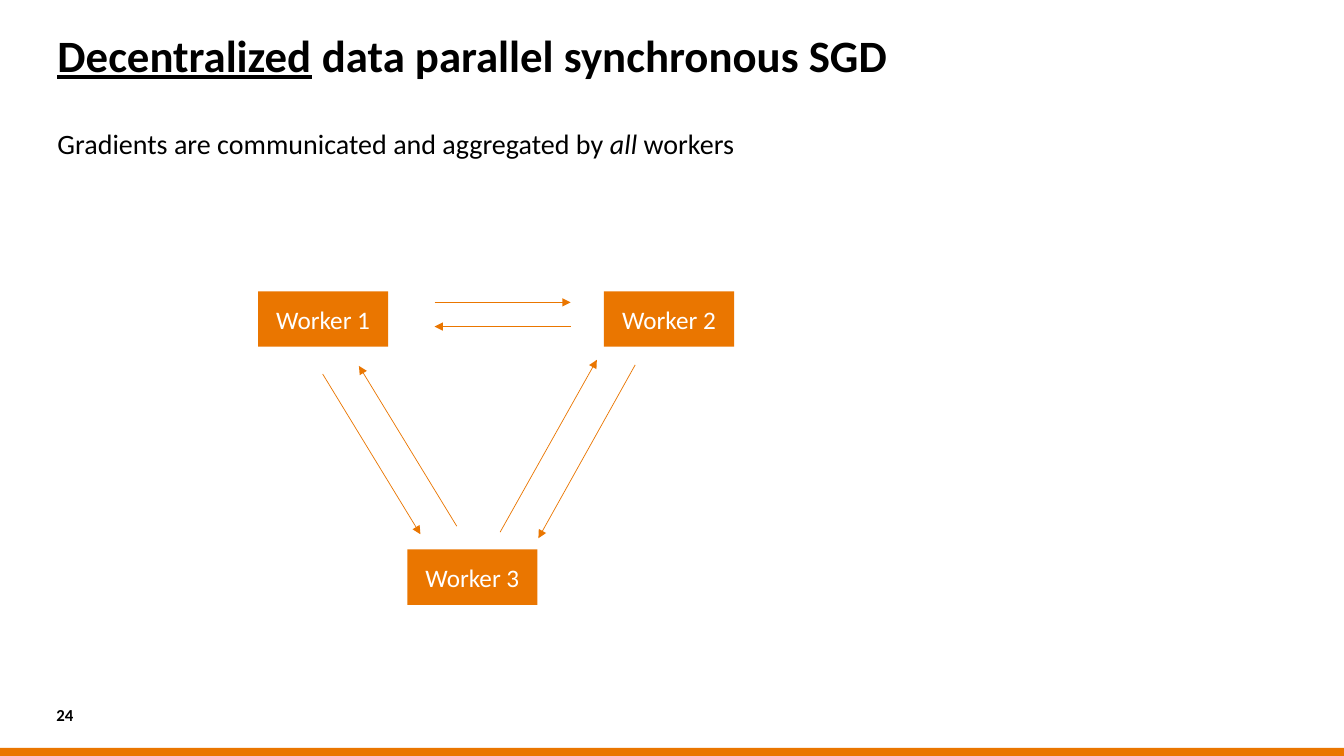
from dataclasses import dataclass

from lxml.etree import SubElement
from pptx import Presentation
from pptx.dml.color import RGBColor
from pptx.enum.shapes import MSO_CONNECTOR as Connector
from pptx.enum.shapes import MSO_SHAPE as Shape
from pptx.enum.text import MSO_ANCHOR as Anchor
from pptx.enum.text import PP_ALIGN as Align
from pptx.oxml.ns import qn
from pptx.slide import Slide
from pptx.text.text import TextFrame
from pptx.util import Emu, Pt

EMU_PER_PX = 9144  # 100 px to the inch


@dataclass(frozen=True)
class Theme:
    font: str = "Calibri"
    accent: RGBColor = RGBColor(0xEA, 0x76, 0x00)
    text: RGBColor = RGBColor(0, 0, 0)
    inverse: RGBColor = RGBColor(0xFF, 0xFF, 0xFF)
    title_size: int = 32
    body_size: int = 20
    worker_size: int = 18
    number_size: int = 12
    arrow_width: float = 0.5


@dataclass(frozen=True)
class Box:
    left: int
    top: int
    width: int
    height: int


@dataclass(frozen=True)
class Run:
    text: str
    italic: bool = False
    underline: bool = False


@dataclass(frozen=True)
class Worker:
    name: str
    left: int
    top: int


@dataclass(frozen=True)
class Arrow:
    start: tuple[int, int]
    end: tuple[int, int]


THEME = Theme()
SLIDE_WIDTH, SLIDE_HEIGHT = 1333, 750
WORKER_WIDTH, WORKER_HEIGHT = 129, 55
FOOTER_BAR = Box(0, 742, SLIDE_WIDTH, 8)

WORKERS = [
    Worker("Worker 1", 256, 289),
    Worker("Worker 2", 599, 289),
    Worker("Worker 3", 404, 545),
]
ARROWS = [
    Arrow((453, 522), (356, 363)),  # 3 to 1
    Arrow((496, 528), (592, 357)),  # 3 to 2
    Arrow((320, 371), (417, 530)),  # 1 to 3
    Arrow((630, 362), (534, 534)),  # 2 to 3
    Arrow((431, 300), (566, 300)),  # 1 to 2
    Arrow((566, 324), (431, 324)),  # 2 to 1
]


def px(length: int) -> Emu:
    return Emu(length * EMU_PER_PX)


def write_text(frame: TextFrame, runs: list[Run], *, size: int,
               color: RGBColor = THEME.text, bold: bool = False,
               align: Align = Align.LEFT, anchor: Anchor = Anchor.TOP,
               inset_top: int = 0, line_spacing: float = 1.0) -> None:
    frame.word_wrap = True
    frame.vertical_anchor = anchor
    frame.margin_left = frame.margin_right = frame.margin_bottom = 0
    frame.margin_top = px(inset_top)
    paragraph = frame.paragraphs[0]
    paragraph.alignment = align
    paragraph.line_spacing = line_spacing
    for item in runs:
        run = paragraph.add_run()
        run.text = item.text
        run.font.name = THEME.font
        run.font.size = Pt(size)
        run.font.color.rgb = color
        run.font.bold = bold
        run.font.italic = item.italic
        run.font.underline = item.underline


def add_text_box(slide: Slide, box: Box) -> TextFrame:
    return slide.shapes.add_textbox(
        px(box.left), px(box.top), px(box.width), px(box.height)).text_frame


def add_block(slide: Slide, box: Box) -> TextFrame:
    shape = slide.shapes.add_shape(
        Shape.RECTANGLE, px(box.left), px(box.top), px(box.width), px(box.height))
    shape.shadow.inherit = False
    shape.fill.solid()
    shape.fill.fore_color.rgb = THEME.accent
    shape.line.fill.background()
    return shape.text_frame


def add_worker(slide: Slide, worker: Worker) -> None:
    frame = add_block(slide, Box(worker.left, worker.top, WORKER_WIDTH, WORKER_HEIGHT))
    write_text(frame, [Run(worker.name)], size=THEME.worker_size,
               color=THEME.inverse, align=Align.CENTER, anchor=Anchor.MIDDLE)


def add_arrow(slide: Slide, arrow: Arrow) -> None:
    connector = slide.shapes.add_connector(
        Connector.STRAIGHT, *map(px, arrow.start), *map(px, arrow.end))
    connector.line.color.rgb = THEME.accent
    connector.line.width = Pt(THEME.arrow_width)
    properties = connector.line._get_or_add_ln()
    SubElement(properties, qn("a:tailEnd"), type="triangle")
    SubElement(properties.getparent(), qn("a:effectLst"))


def main() -> None:
    presentation = Presentation()
    presentation.slide_width = px(SLIDE_WIDTH)
    presentation.slide_height = px(SLIDE_HEIGHT)
    slide = presentation.slides.add_slide(presentation.slide_layouts[6])

    # Footer bar
    add_block(slide, FOOTER_BAR)

    # Title, statement and slide number
    write_text(add_text_box(slide, Box(57, 30, 1219, 66)),
               [Run("Decentralized", underline=True),
                Run(" data parallel synchronous SGD")],
               size=THEME.title_size, bold=True, inset_top=8, line_spacing=0.8)
    write_text(add_text_box(slide, Box(57, 125, 981, 515)),
               [Run("Gradients are communicated and aggregated by "),
                Run("all", italic=True), Run(" workers")],
               size=THEME.body_size)
    write_text(add_text_box(slide, Box(56, 697, 43, 24)), [Run("24")],
               size=THEME.number_size, bold=True, anchor=Anchor.MIDDLE)

    # Workers and the gradients they exchange
    for worker in WORKERS:
        add_worker(slide, worker)
    for arrow in ARROWS:
        add_arrow(slide, arrow)

    presentation.save("out.pptx")


if __name__ == "__main__":
    main()
